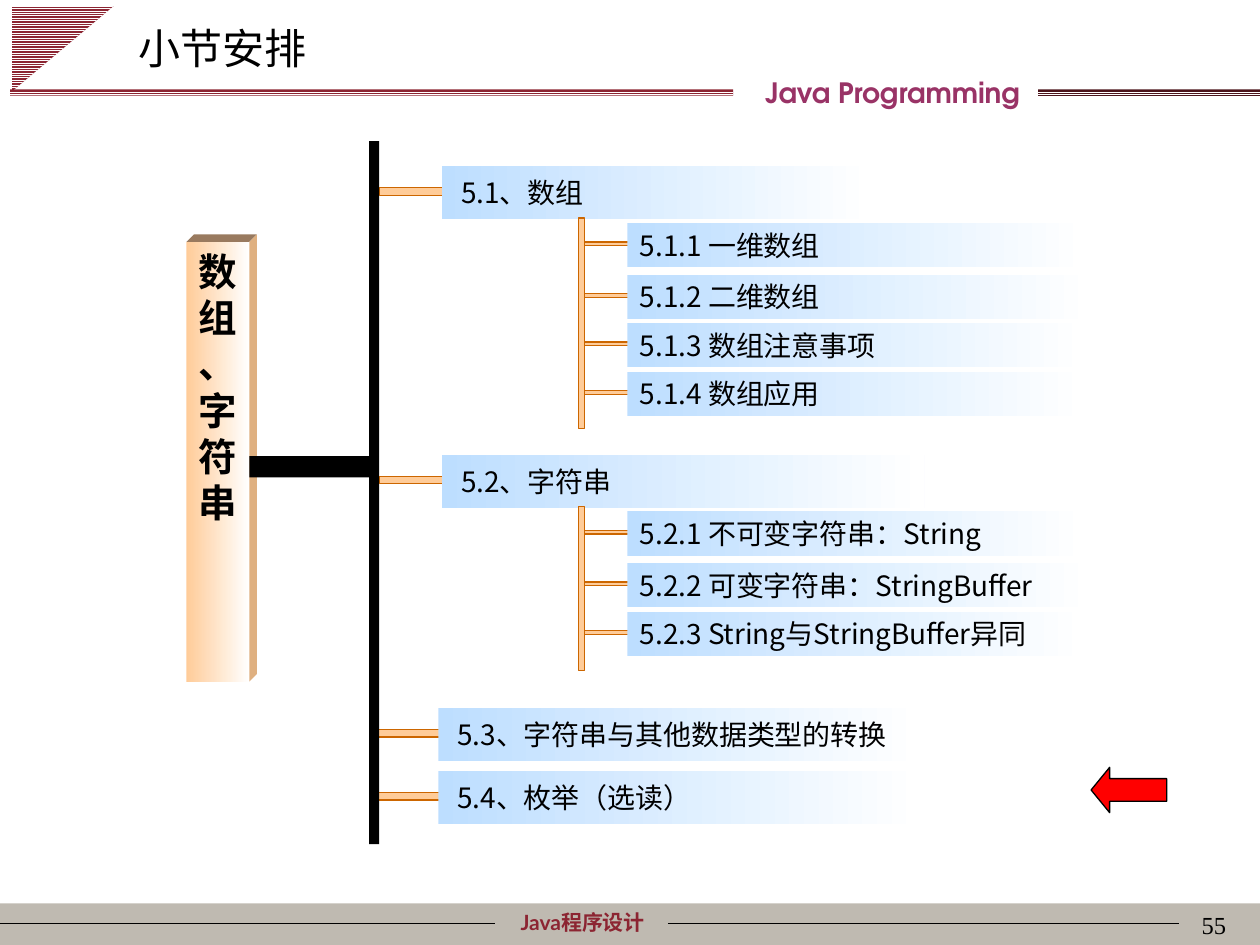
from lxml import etree
from pptx import Presentation
from pptx.dml.color import RGBColor
from pptx.enum.dml import MSO_PATTERN
from pptx.enum.shapes import MSO_CONNECTOR, MSO_SHAPE
from pptx.enum.text import MSO_ANCHOR, PP_ALIGN
from pptx.oxml.ns import qn
from pptx.util import Inches, Pt

RECT, TRIANGLE, ARROW = MSO_SHAPE.RECTANGLE, MSO_SHAPE.RIGHT_TRIANGLE, MSO_SHAPE.LEFT_ARROW
STRIPES = MSO_PATTERN.LIGHT_HORIZONTAL
LEFT, CENTER, RIGHT = PP_ALIGN.LEFT, PP_ALIGN.CENTER, PP_ALIGN.RIGHT
TOP, MIDDLE = MSO_ANCHOR.TOP, MSO_ANCHOR.MIDDLE

BLACK = RGBColor(0x00, 0x00, 0x00)
WHITE = RGBColor(0xFF, 0xFF, 0xFF)
RED = RGBColor(0xFF, 0x00, 0x00)
WINE = RGBColor(0x8C, 0x25, 0x32)
DARK_WINE = RGBColor(0x4C, 0x14, 0x1B)
PLUM = RGBColor(0x99, 0x33, 0x66)
GREY = RGBColor(0xBF, 0xBA, 0xB1)
PEACH = RGBColor(0xFF, 0xCC, 0x99)
ORANGE = RGBColor(0xCC, 0x66, 0x00)
BLUE = RGBColor(0xBD, 0xDE, 0xFF)
BROWN = RGBColor(0x99, 0x7A, 0x5F)
TAN = RGBColor(0xDF, 0xB0, 0x80)
CJK = "Noto Sans CJK SC"

prs = Presentation()
prs.slide_width, prs.slide_height = Inches(10), Inches(7.5)
COL, ROW = prs.slide_width / 100, prs.slide_height / 100
s = prs.slides.add_slide(prs.slide_layouts[5])


def add_box(x, y, w, h, fill, fade=False, stripes=False, line=None, kind=RECT):
    sp = s.shapes.add_shape(kind, int(x * COL), int(y * ROW), int(w * COL), int(h * ROW))
    sp.shadow.inherit = False
    if fade:
        sp.fill.gradient()
        sp.fill.gradient_angle = 0
        for stop, color, position in zip(sp.fill.gradient_stops, (fill, WHITE), (0, 1)):
            stop.color.rgb, stop.position = color, position
    elif stripes:
        sp.fill.patterned()
        sp.fill.pattern = STRIPES
        sp.fill.fore_color.rgb, sp.fill.back_color.rgb = WHITE, fill
    else:
        sp.fill.solid()
        sp.fill.fore_color.rgb = fill
    if line is None:
        sp.line.fill.background()
    else:
        sp.line.color.rgb, sp.line.width = line, Pt(0.75)
    return sp


def set_text(sp, text, size=16, font=CJK, color=BLACK, bold=False,
             align=LEFT, anchor=MIDDLE, inset=0.1, wrap=True):
    tf = sp.text_frame
    tf.word_wrap, tf.vertical_anchor = wrap, anchor
    tf.margin_left, tf.margin_right = Inches(inset), Inches(0.1)
    tf.margin_top = tf.margin_bottom = Inches(0.05)
    p = tf.paragraphs[0]
    p.alignment = align
    r = p.add_run()
    r.text = text
    r.font.size, r.font.name, r.font.bold = Pt(size), font, bold
    r.font.color.rgb = color
    ea = etree.SubElement(r.font._element, qn("a:ea"))
    ea.set("typeface", CJK)


add_box(0, 95.6, 100, 4.4, GREY)
add_box(1.6, -0.27, 6.8, 10.8, WINE, stripes=True, kind=TRIANGLE).rotation = 90
add_box(82.4, 9.47, 17.6, 0.8, DARK_WINE, stripes=True)
add_box(0.8, 9.47, 57.4, 0.67, WINE, stripes=True)

for start, end in ((0, 39.3), (53, 93.6)):
    y = int(97.73 * ROW)
    rule = s.shapes.add_connector(MSO_CONNECTOR.STRAIGHT, int(start * COL), y, int(end * COL), y)
    rule.line.color.rgb, rule.line.width = BLACK, Pt(0.75)
    etree.SubElement(rule._element.spPr, qn("a:effectLst"))

for x, y, w, h, text, style in (
    (36.2, 95.6, 20.1, 4, "Java程序设计", dict(size=12, font="Lato", color=WINE, bold=True, align=CENTER)),
    (50.8, 7.33, 40.1, 4.93, "Java Programming",
     dict(font="TeX Gyre Adventor", color=PLUM, bold=True, align=CENTER)),
    (77.5, 95.6, 20.8, 4.4, "55", dict(size=14, font="Times New Roman", align=RIGHT, anchor=TOP)),
):
    tb = s.shapes.add_textbox(int(x * COL), int(y * ROW), int(w * COL), int(h * ROW))
    set_text(tb, text, **style)

title = s.shapes.title
title.left, title.top = int(10 * COL), int(1.73 * ROW)
title.width, title.height = int(28.5 * COL), int(6.67 * ROW)
set_text(title, "小节安排", size=24)

left, right, top, bottom, depth_x, depth_y = 14.8, 19.8, 25.6, 72.13, 0.6, 0.8
for color, points in (
    (BROWN, ((left, top), (left + depth_x, top - depth_y), (right + depth_x, top - depth_y), (right, top))),
    (TAN, ((right, top), (right + depth_x, top - depth_y),
           (right + depth_x, bottom - depth_y), (right, bottom))),
):
    corners = [(int(x * COL), int(y * ROW)) for x, y in points]
    builder = s.shapes.build_freeform(*corners[0])
    builder.add_line_segments(corners[1:], close=True)
    side = builder.convert_to_shape()
    side.shadow.inherit = False
    side.fill.solid()
    side.fill.fore_color.rgb = color
    side.line.fill.background()
root = add_box(left, top, right - left, bottom - top, PEACH, fade=True)
set_text(root, "数组、字符串", size=22, bold=True, align=CENTER, anchor=TOP)

sections = (
    (35.1, 17.6, 34.1, "5.1、数组", ("5.1.1 一维数组", "5.1.2 二维数组", "5.1.3 数组注意事项", "5.1.4 数组应用"), 22.27),
    (35.1, 48.13, 38.3, "5.2、字符串",
     ("5.2.1 不可变字符串：String", "5.2.2 可变字符串：StringBuffer", "5.2.3 String与StringBuffer异同"), 17.33),
    (34.8, 74.93, 38.3, "5.3、字符串与其他数据类型的转换", (), 0),
    (34.8, 81.6, 38.3, "5.4、枚举（选读）", (), 0),
)
for x, y, w, heading, topics, stem in sections:
    add_box(x - 5, y + 2.27, 5.1, 0.8, PEACH, line=ORANGE)
    set_text(add_box(x, y, w, 5.6, BLUE, fade=True), heading, inset=0.15)
    for offset, width, topic in zip((6, 11.47, 16.6, 21.73), (36.5, 36.9, 36.4, 36.4), topics):
        add_box(46.1, y + offset + 2, 5.1, 0.4, PEACH, line=ORANGE)
        set_text(add_box(49.8, y + offset, width, 4.67, BLUE, fade=True), topic, wrap=False)
    if topics:
        add_box(45.9, y + 5.47, 0.5, stem, PEACH, line=ORANGE)

add_box(19.8, 48.27, 10, 2.27, BLACK)
add_box(29.3, 14.93, 0.8, 74.4, BLACK)
arrow = add_box(86.6, 81.2, 6, 4.8, RED, line=BLACK, kind=ARROW)
arrow.adjustments[0], arrow.adjustments[1] = 0.5, 0.41

prs.save("out.pptx")
